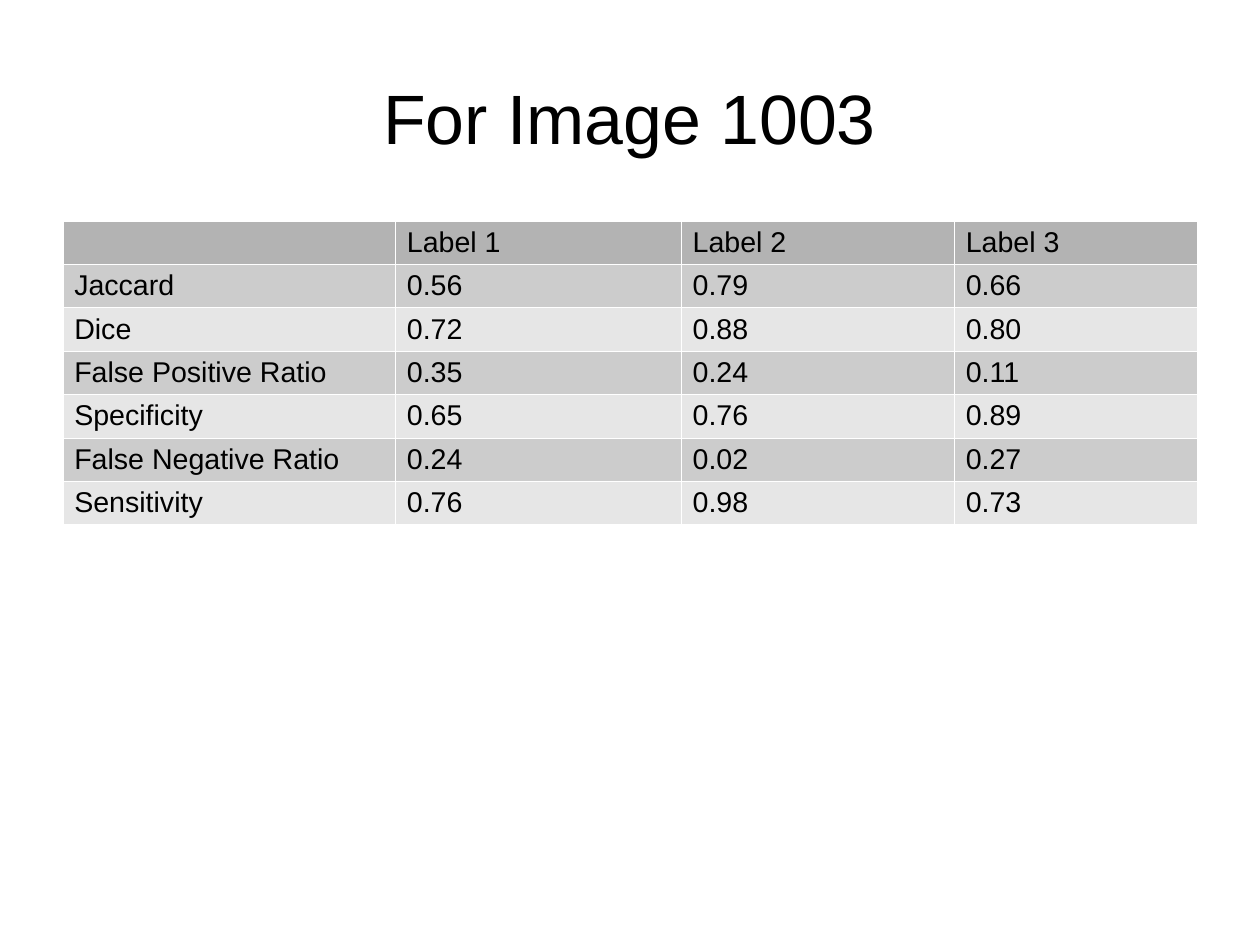
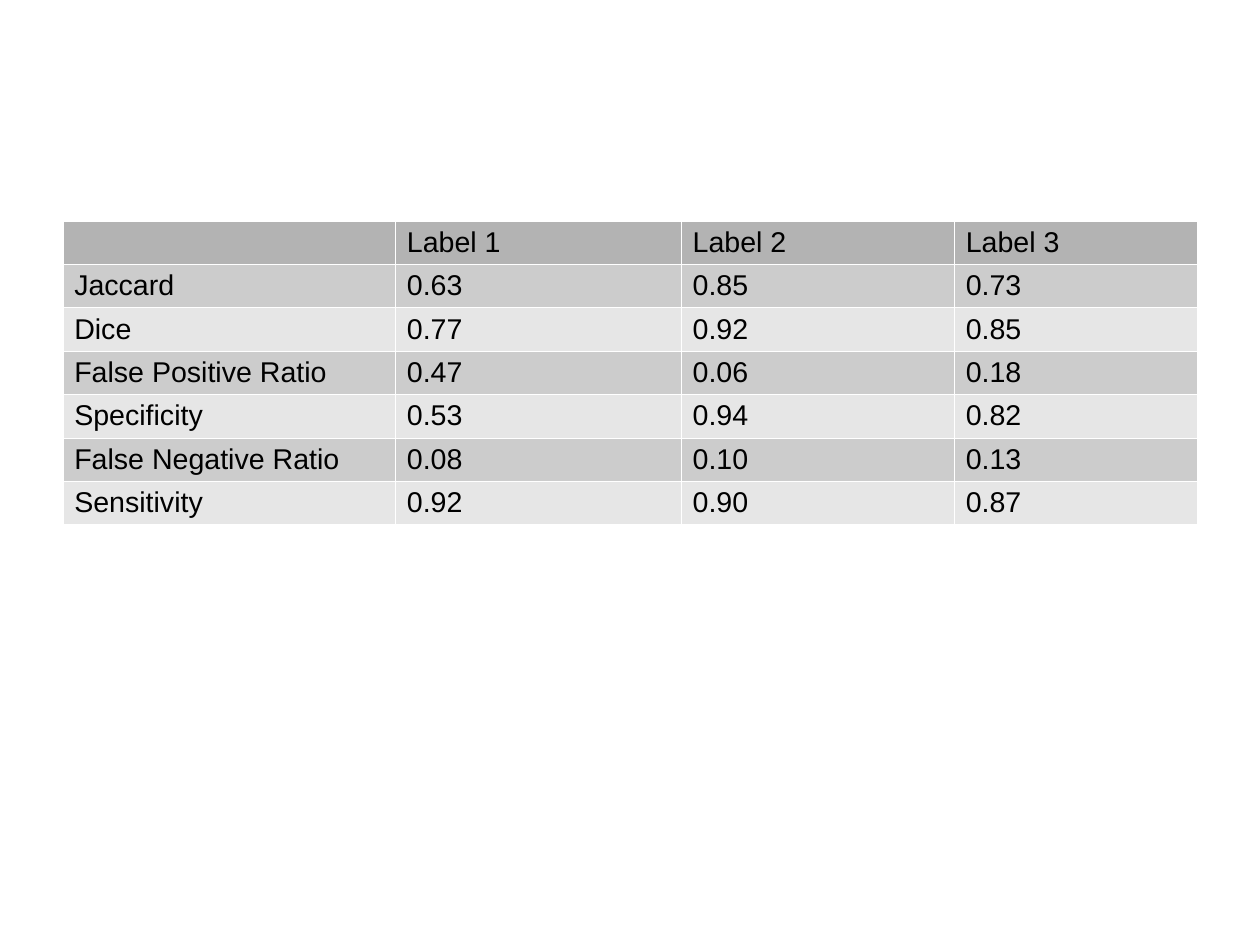
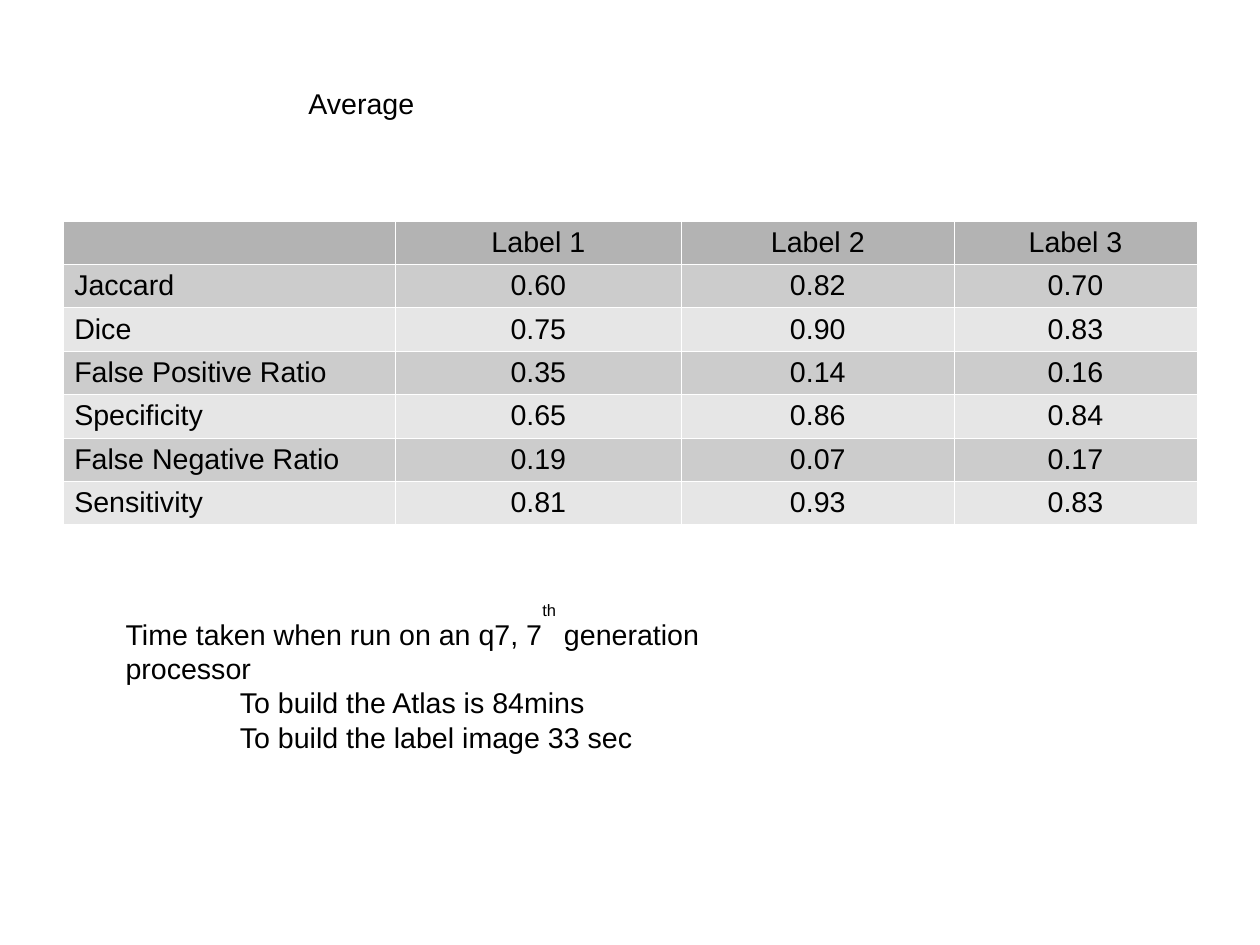
from pptx import Presentation
from pptx.dml.color import RGBColor
from pptx.enum.text import MSO_ANCHOR, PP_ALIGN
from pptx.oxml.ns import qn
from pptx.util import Inches, Pt
from lxml.etree import SubElement

FONT = "Arial"
INK = "000000"
WHITE = "FFFFFF"
HEADER_FILL = "B3B3B3"
BAND_FILLS = ("CCCCCC", "E6E6E6")
PAGE_WIDTH, PAGE_HEIGHT = 28 / 2.54, 21 / 2.54
LEFT, CONTENT_WIDTH = 0.55, 9.92
TABLE_TOP, ROW_HEIGHT = 1.93, 0.38
COLUMN_WIDTHS = (2.91, 2.5, 2.39, 2.12)
HEADINGS = ("", "Label 1", "Label 2", "Label 3")
MEASURES = ("Jaccard", "Dice", "False Positive Ratio", "Specificity",
            "False Negative Ratio", "Sensitivity")
IMAGE_1003_SCORES = (
    ("0.56", "0.79", "0.66"),
    ("0.72", "0.88", "0.80"),
    ("0.35", "0.24", "0.11"),
    ("0.65", "0.76", "0.89"),
    ("0.24", "0.02", "0.27"),
    ("0.76", "0.98", "0.73"),
)
SECOND_IMAGE_SCORES = (
    ("0.63", "0.85", "0.73"),
    ("0.77", "0.92", "0.85"),
    ("0.47", "0.06", "0.18"),
    ("0.53", "0.94", "0.82"),
    ("0.08", "0.10", "0.13"),
    ("0.92", "0.90", "0.87"),
)
AVERAGE_SCORES = (
    ("0.60", "0.82", "0.70"),
    ("0.75", "0.90", "0.83"),
    ("0.35", "0.14", "0.16"),
    ("0.65", "0.86", "0.84"),
    ("0.19", "0.07", "0.17"),
    ("0.81", "0.93", "0.83"),
)


def color(value):
    return RGBColor.from_string(value)


def write(para, text, size=18, align=PP_ALIGN.LEFT, indent=0, baseline=0):
    para.alignment = align
    if indent:
        para._p.get_or_add_pPr().set("marL", str(Inches(indent)))
    span = para.add_run()
    span.text = text
    span.font.size = Pt(size)
    span.font.name = FONT
    span.font.color.rgb = color(INK)
    if baseline:
        span.font._element.set("baseline", str(baseline * 1000))


def add_box(page, left, top, width, height, anchor=MSO_ANCHOR.TOP):
    box = page.shapes.add_textbox(Inches(left), Inches(top), Inches(width), Inches(height))
    frame = box.text_frame
    frame.word_wrap = True
    frame.vertical_anchor = anchor
    return frame


def add_title(page, text):
    frame = add_box(page, LEFT, 0.33, CONTENT_WIDTH, 1.38, MSO_ANCHOR.MIDDLE)
    frame.margin_left = frame.margin_right = 0
    frame.margin_top = frame.margin_bottom = 0
    write(frame.paragraphs[0], text, size=44, align=PP_ALIGN.CENTER)


def style_cell(cell, fill):
    cell.margin_bottom = Inches(0.02)
    properties = cell._tc.get_or_add_tcPr()
    for side in ("a:lnL", "a:lnR", "a:lnT", "a:lnB"):
        border = SubElement(properties, qn(side), w=str(Pt(0.06)))
        SubElement(SubElement(border, qn("a:solidFill")), qn("a:srgbClr"), val=WHITE)
    cell.fill.solid()
    cell.fill.fore_color.rgb = color(fill)


def add_score_table(page, scores, align=PP_ALIGN.LEFT):
    rows = [HEADINGS] + [(name, *values) for name, values in zip(MEASURES, scores)]
    table = page.shapes.add_table(
        len(rows), len(HEADINGS), Inches(LEFT), Inches(TABLE_TOP),
        Inches(CONTENT_WIDTH), Inches(ROW_HEIGHT * len(rows))).table
    table.first_row = table.horz_banding = False
    for column, width in zip(table.columns, COLUMN_WIDTHS):
        column.width = Inches(width)
    for row_index, texts in enumerate(rows):
        fill = BAND_FILLS[(row_index - 1) % 2] if row_index else HEADER_FILL
        for column_index, text in enumerate(texts):
            cell = table.cell(row_index, column_index)
            style_cell(cell, fill)
            if text:
                write(cell.text_frame.paragraphs[0], text,
                      align=align if column_index else PP_ALIGN.LEFT)


def add_timing(page):
    frame = add_box(page, 1, 5.2, 6.28, 1.23)
    intro = frame.paragraphs[0]
    write(intro, "Time taken when run on an q7, 7")
    write(intro, "th", baseline=101)
    write(intro, " generation processor")
    for text in ("To build the Atlas is 84mins", "To build the label image 33 sec"):
        write(frame.add_paragraph(), text, indent=1)


def main():
    deck = Presentation()
    deck.slide_width, deck.slide_height = Inches(PAGE_WIDTH), Inches(PAGE_HEIGHT)
    first, second, average = [deck.slides.add_slide(deck.slide_layouts[6]) for _ in range(3)]

    add_title(first, "For Image 1003")
    add_score_table(first, IMAGE_1003_SCORES)

    add_score_table(second, SECOND_IMAGE_SCORES)

    add_score_table(average, AVERAGE_SCORES, align=PP_ALIGN.CENTER)
    write(add_box(average, 2.6, 0.7, 6, 0.38).paragraphs[0], "Average")
    add_timing(average)

    deck.save("out.pptx")


if __name__ == "__main__":
    main()
